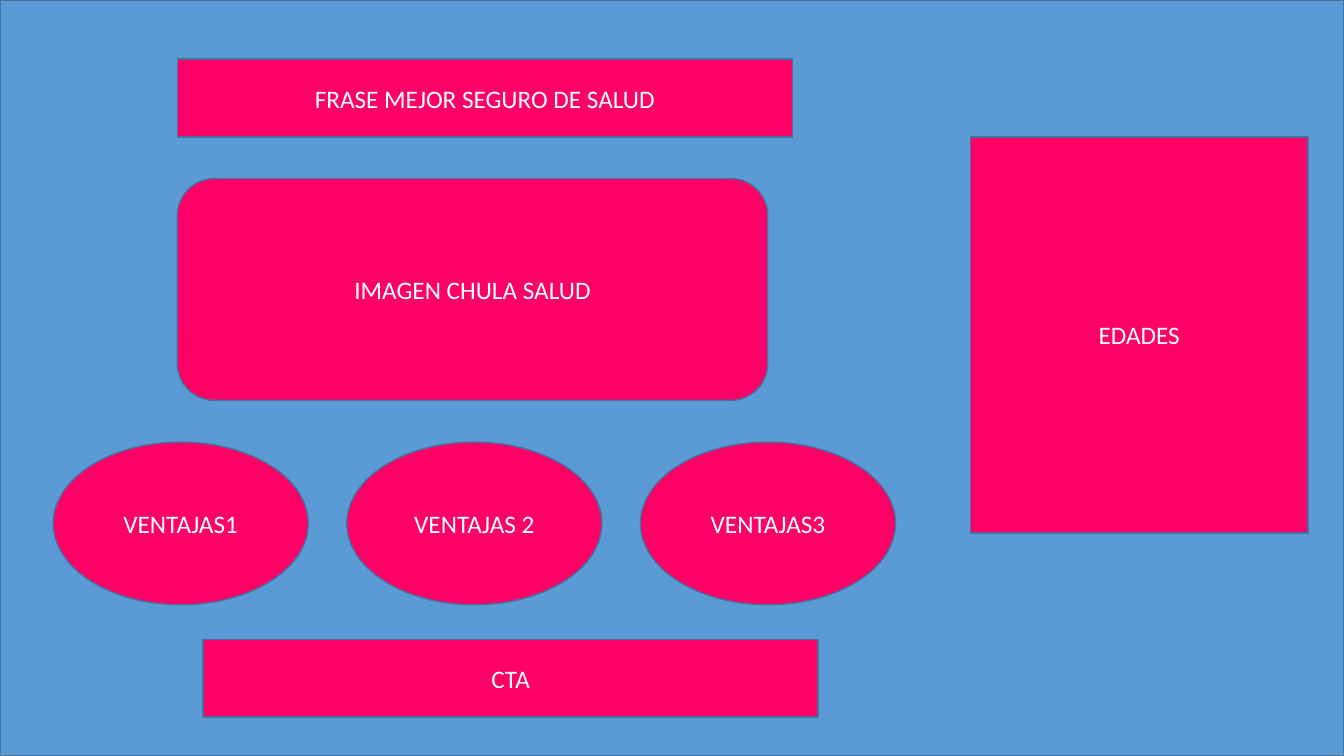
from dataclasses import dataclass

from pptx import Presentation
from pptx import util as u
from pptx.dml import color
from pptx.enum import shapes, text


@dataclass(frozen=True)
class Theme:
    backdrop: str = "5B9BD5"
    block: str = "FF0066"
    outline: str = "43739E"
    label: str = "FFFFFF"
    font: str = "Calibri"
    size: int = 18
    line_width: int = 1


class Wireframe:
    """Holds the theme and the current slide."""

    def __init__(self, slide, theme):
        self.slide = slide
        self.theme = theme

    def panel(self, kind, left, top, width, height, fill):
        sp = self.slide.shapes.add_shape(
            kind, u.Cm(left), u.Cm(top), u.Cm(width), u.Cm(height))
        sp.shadow.inherit = False
        sp.fill.solid()
        sp.fill.fore_color.rgb = color.RGBColor.from_string(fill)
        sp.line.color.rgb = color.RGBColor.from_string(self.theme.outline)
        sp.line.width = u.Pt(self.theme.line_width)
        return sp

    def block(self, kind, label, left, top, width, height):
        sp = self.panel(kind, left, top, width, height, self.theme.block)
        tf = sp.text_frame
        tf.word_wrap = True
        tf.vertical_anchor = text.MSO_ANCHOR.MIDDLE
        p = tf.paragraphs[0]
        p.alignment = text.PP_ALIGN.CENTER
        r = p.add_run()
        r.text = label
        r.font.name = self.theme.font
        r.font.size = u.Pt(self.theme.size)
        r.font.color.rgb = color.RGBColor.from_string(self.theme.label)


SLIDE_W, SLIDE_H = 33.87, 19.05
RECT = shapes.MSO_SHAPE.RECTANGLE
ROUNDED = shapes.MSO_SHAPE.ROUNDED_RECTANGLE
OVAL = shapes.MSO_SHAPE.OVAL

prs = Presentation()
prs.slide_width, prs.slide_height = u.Cm(SLIDE_W), u.Cm(SLIDE_H)
theme = Theme()
page = Wireframe(prs.slides.add_slide(prs.slide_layouts[6]), theme)

# Page backdrop
page.panel(RECT, 0, 0.02, SLIDE_W, SLIDE_H - 0.02, theme.backdrop)

# Age selector on the right
page.block(RECT, "EDADES", 24.46, 3.45, 8.5, 9.98)

# Headline and main image area
BAR_W, BAR_H = 15.5, 1.96
MAIN_LEFT = 4.47
page.block(RECT, "FRASE MEJOR SEGURO DE SALUD", MAIN_LEFT, 1.49, BAR_W, BAR_H)
page.block(ROUNDED, "IMAGEN CHULA SALUD", MAIN_LEFT, 4.5, 14.88, 5.59)

# Row of advantages
ADVANTAGE_LEFT, ADVANTAGE_PITCH = 1.34, 7.4
for i, label in enumerate(("VENTAJAS1", "VENTAJAS 2", "VENTAJAS3")):
    page.block(OVAL, label, ADVANTAGE_LEFT + i * ADVANTAGE_PITCH, 11.14, 6.43, 4.1)

# Call to action
page.block(RECT, "CTA", 5.12, 16.11, BAR_W, BAR_H)

prs.save("out.pptx")
